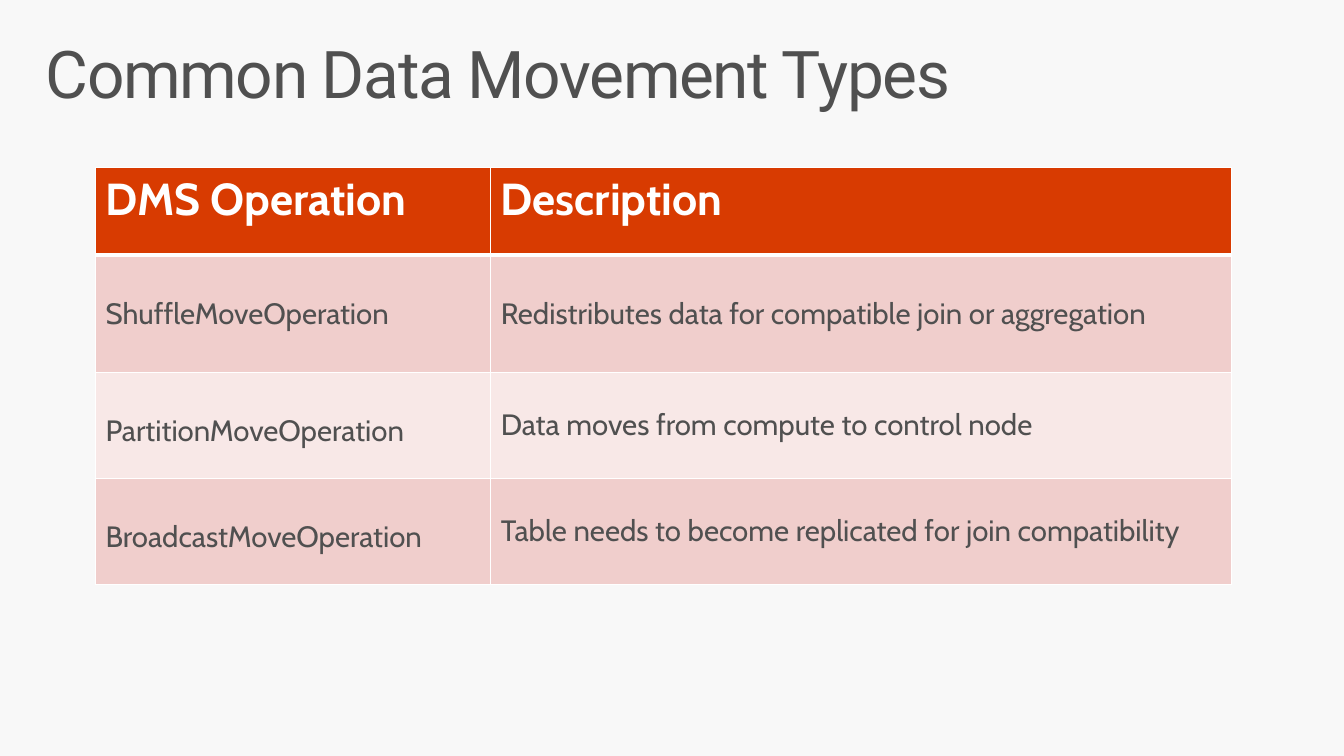
import pptx
import pptx.dml.color
import pptx.enum.text
import pptx.oxml
import pptx.oxml.ns
import pptx.util
from pptx.util import Cm

HUES = {"back": "F8F8F8", "text": "505050", "head": "D83B01",
        "odd": "F0CECC", "even": "F8E8E7", "line": "FFFFFF"}
ROWS = [
    ("DMS Operation", "Description"),
    ("ShuffleMoveOperation",
     "Redistributes data for compatible join or aggregation"),
    ("PartitionMoveOperation", "Data moves from compute to control node"),
    ("BroadcastMoveOperation",
     "Table needs to become replicated for join compatibility"),
]
WIDTHS = [9.96, 18.67]
HEIGHTS = [2.21, 2.95, 2.67, 2.67]
ANCHOR = pptx.enum.text.MSO_ANCHOR


def color(name):
    return pptx.dml.color.RGBColor.from_string(HUES[name])


def style(para, face, size, hue, bold=False):
    for run in para.runs:
        run.font.name = face
        run.font.size = pptx.util.Pt(size)
        run.font.bold = bold
        run.font.color.rgb = color(hue)


def border(cell, sides):
    """Draw cell edges; sides maps L, R, T, B to widths in points."""
    props = cell._tc.get_or_add_tcPr()
    for side, width in sides.items():
        props.append(pptx.oxml.parse_xml(
            f'<a:ln{side} {pptx.oxml.ns.nsdecls("a")} w="{pptx.util.Pt(width)}">'
            f'<a:solidFill><a:srgbClr val="{HUES["line"]}"/></a:solidFill>'
            f'</a:ln{side}>'))


def add_title(slide, text):
    title = slide.shapes.title
    title.left, title.top = Cm(0.74), Cm(0.81)
    title.width, title.height = Cm(32.39), Cm(2.49)
    frame = title.text_frame
    frame.text = text
    frame.word_wrap = True
    frame.auto_size = pptx.enum.text.MSO_AUTO_SIZE.NONE
    frame.vertical_anchor = ANCHOR.TOP
    frame.margin_left = frame.margin_right = Cm(0.41)
    frame.margin_top = frame.margin_bottom = Cm(0.25)
    para = frame.paragraphs[0]
    para.alignment = pptx.enum.text.PP_ALIGN.LEFT
    para.line_spacing = 0.9
    style(para, "Roboto", 47, "text")
    para.runs[0].font._element.set("spc", "-100")


def fill_cell(cell, text, row, col):
    head = row == 0
    border(cell, {"L": 1, "R": 1, "T": 3 if row == 1 else 1,
                  "B": 3 if head else 1})
    cell.fill.solid()
    cell.fill.fore_color.rgb = color(
        "head" if head else "odd" if row % 2 else "even")
    cell.margin_left = cell.margin_right = Cm(0.25)
    cell.margin_top = cell.margin_bottom = Cm(0.13)
    cell.vertical_anchor = ANCHOR.TOP
    cell.text_frame.text = text
    para = cell.text_frame.paragraphs[0]
    if head:
        style(para, "Cabin", 32, "line", bold=True)
        return
    style(para, "Cabin", 21, "text")
    if col == 0:
        cell.margin_top = Cm(1.03)  # operation names sit one line down
    else:
        cell.vertical_anchor = ANCHOR.MIDDLE


def add_grid(slide):
    grid = slide.shapes.add_table(
        len(ROWS), len(WIDTHS), Cm(2.41), Cm(4.22),
        Cm(sum(WIDTHS)), Cm(sum(HEIGHTS))).table
    for col, width in enumerate(WIDTHS):
        grid.columns[col].width = Cm(width)
    for row, height in enumerate(HEIGHTS):
        grid.rows[row].height = Cm(height)
        for col, text in enumerate(ROWS[row]):
            fill_cell(grid.cell(row, col), text, row, col)


def main():
    deck = pptx.Presentation()
    deck.slide_width, deck.slide_height = Cm(33.87), Cm(19.05)
    slide = deck.slides.add_slide(deck.slide_layouts[5])

    # Background
    slide.background.fill.solid()
    slide.background.fill.fore_color.rgb = color("back")

    # Title and table
    add_title(slide, "Common Data Movement Types")
    add_grid(slide)
    deck.save("out.pptx")


if __name__ == "__main__":
    main()
